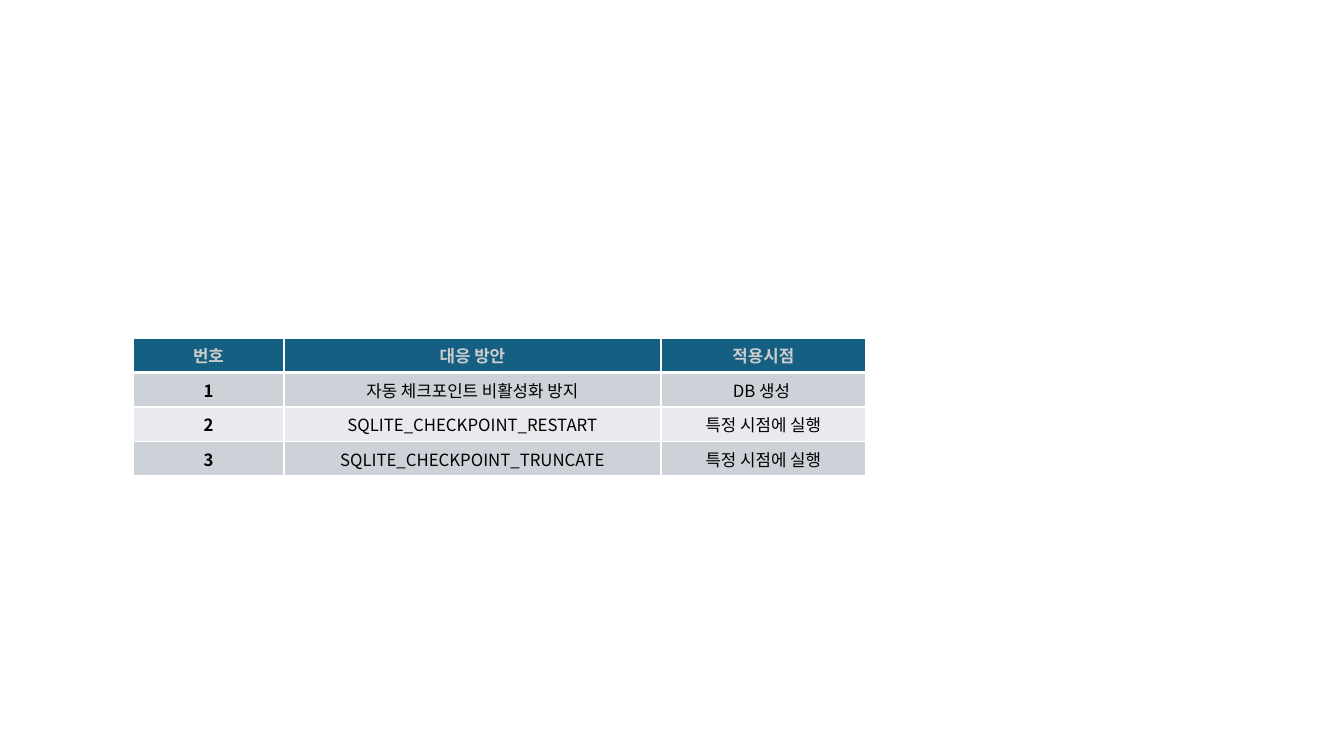
from lxml.etree import SubElement
from pptx import Presentation
from pptx.dml.color import RGBColor
from pptx.enum.text import MSO_VERTICAL_ANCHOR as Anchor, PP_PARAGRAPH_ALIGNMENT as Align
from pptx.oxml.ns import qn
from pptx.util import Emu, Pt

EMU_PER_PX = 914400 / 100.8
FONT = "Noto Sans CJK KR"
WHITE, BLACK, GREY = "FFFFFF", "000000", "CCCCCC"
HEADER_FILL = "156082"
BAND_FILLS = ["CCD2D8", "E8EAED"]

TABLE_LEFT, TABLE_TOP = 133, 338
COLUMN_WIDTHS = [151, 377, 205]
ROW_HEIGHT = 34
ROWS = [
    ["번호", "대응 방안", "적용시점"],
    ["1", "자동 체크포인트 비활성화 방지", "DB 생성 "],
    ["2", "SQLITE_CHECKPOINT_RESTART", "특정 시점에 실행"],
    ["3", "SQLITE_CHECKPOINT_TRUNCATE", "특정 시점에 실행"],
]


def px(length):
    return Emu(round(length * EMU_PER_PX))


def color(hex_value):
    return RGBColor.from_string(hex_value)


def add_run(paragraph, text, text_color, bold):
    run = paragraph.add_run()
    run.text = text
    run.font.size = Pt(12)
    run.font.bold = bold
    run.font.color.rgb = color(text_color)
    run.font.name = FONT
    # Korean letters take the East Asian typeface
    SubElement(run.font._element, qn("a:ea"), typeface=FONT)


def set_borders(cell, top, bottom):
    properties = cell._tc.get_or_add_tcPr()
    for side, points in (("L", 1), ("R", 1), ("T", top), ("B", bottom)):
        line = SubElement(properties, qn(f"a:ln{side}"), w=str(Pt(points)))
        fill = SubElement(line, qn("a:solidFill"))
        SubElement(fill, qn("a:srgbClr"), val=WHITE)


def fill_cell(cell, text, row_index, column_index):
    is_header = row_index == 0
    set_borders(cell, top=3 if row_index == 1 else 1, bottom=3 if is_header else 1)
    cell.fill.solid()
    cell.fill.fore_color.rgb = color(
        HEADER_FILL if is_header else BAND_FILLS[(row_index - 1) % 2])
    cell.vertical_anchor = Anchor.BOTTOM if is_header else Anchor.MIDDLE
    paragraph = cell.text_frame.paragraphs[0]
    paragraph.alignment = Align.CENTER
    add_run(paragraph, text, GREY if is_header else BLACK,
            bold=is_header or column_index == 0)


def add_measures_table(slide):
    shape = slide.shapes.add_table(
        len(ROWS), len(COLUMN_WIDTHS), px(TABLE_LEFT), px(TABLE_TOP),
        px(sum(COLUMN_WIDTHS)), px(ROW_HEIGHT * len(ROWS)))
    table = shape.table
    table.first_col = True
    for column, width in zip(table.columns, COLUMN_WIDTHS):
        column.width = px(width)
    for row_index, texts in enumerate(ROWS):
        table.rows[row_index].height = px(ROW_HEIGHT)
        for column_index, text in enumerate(texts):
            fill_cell(table.cell(row_index, column_index), text, row_index, column_index)


def main():
    presentation = Presentation()
    presentation.slide_width = px(1344)
    presentation.slide_height = px(756)
    slide = presentation.slides.add_slide(presentation.slide_layouts[6])

    # Table of countermeasures and when they apply
    add_measures_table(slide)

    presentation.save("out.pptx")


if __name__ == "__main__":
    main()
